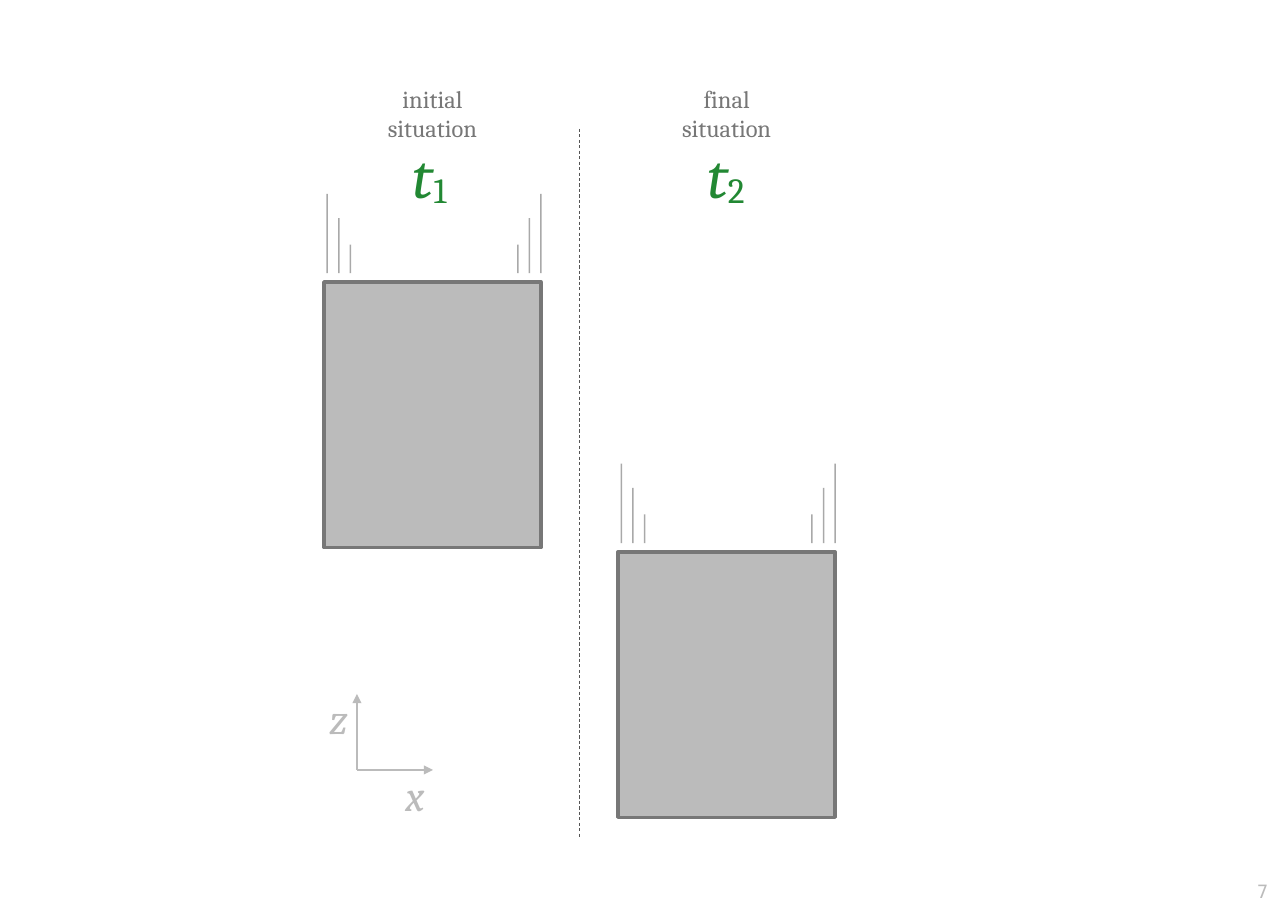
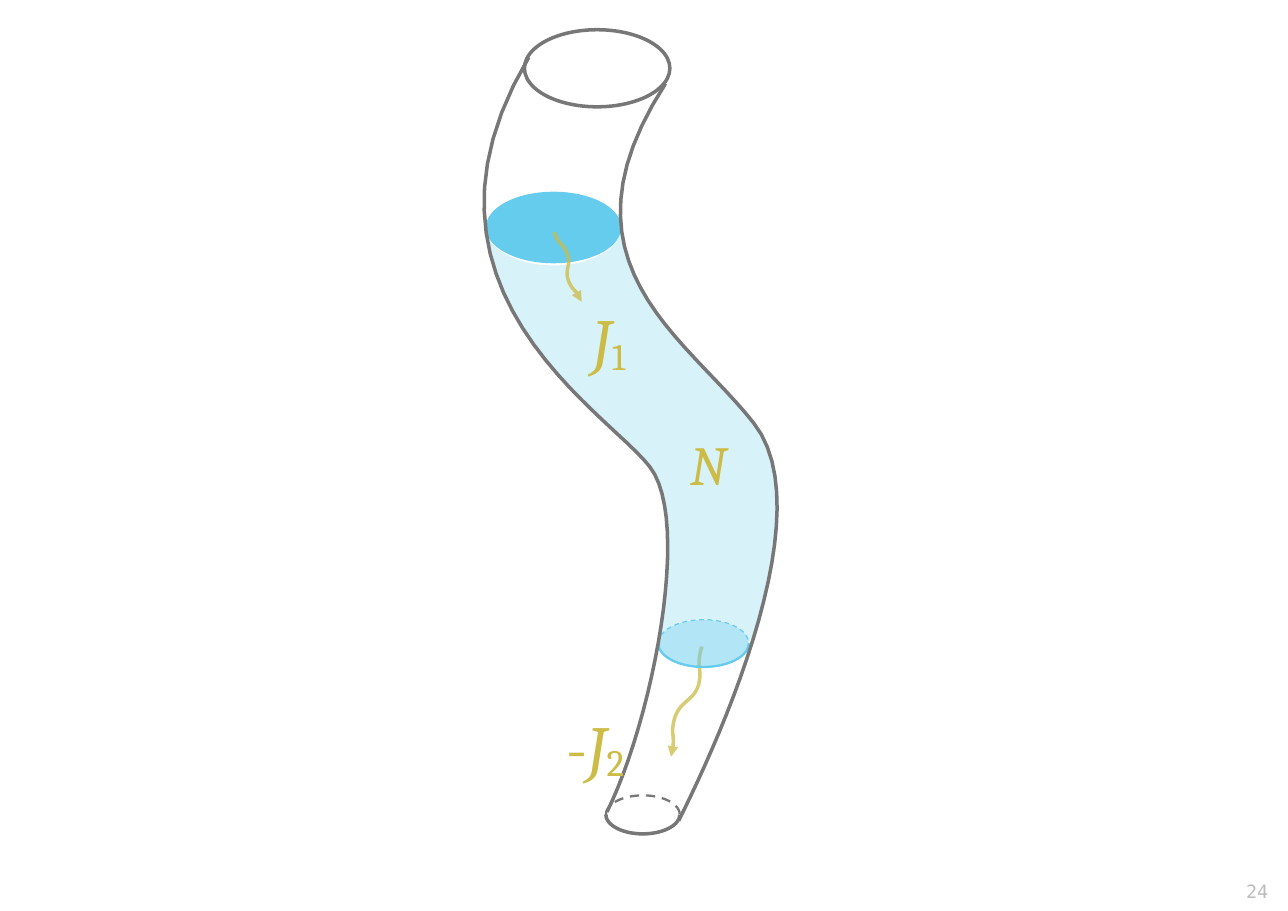
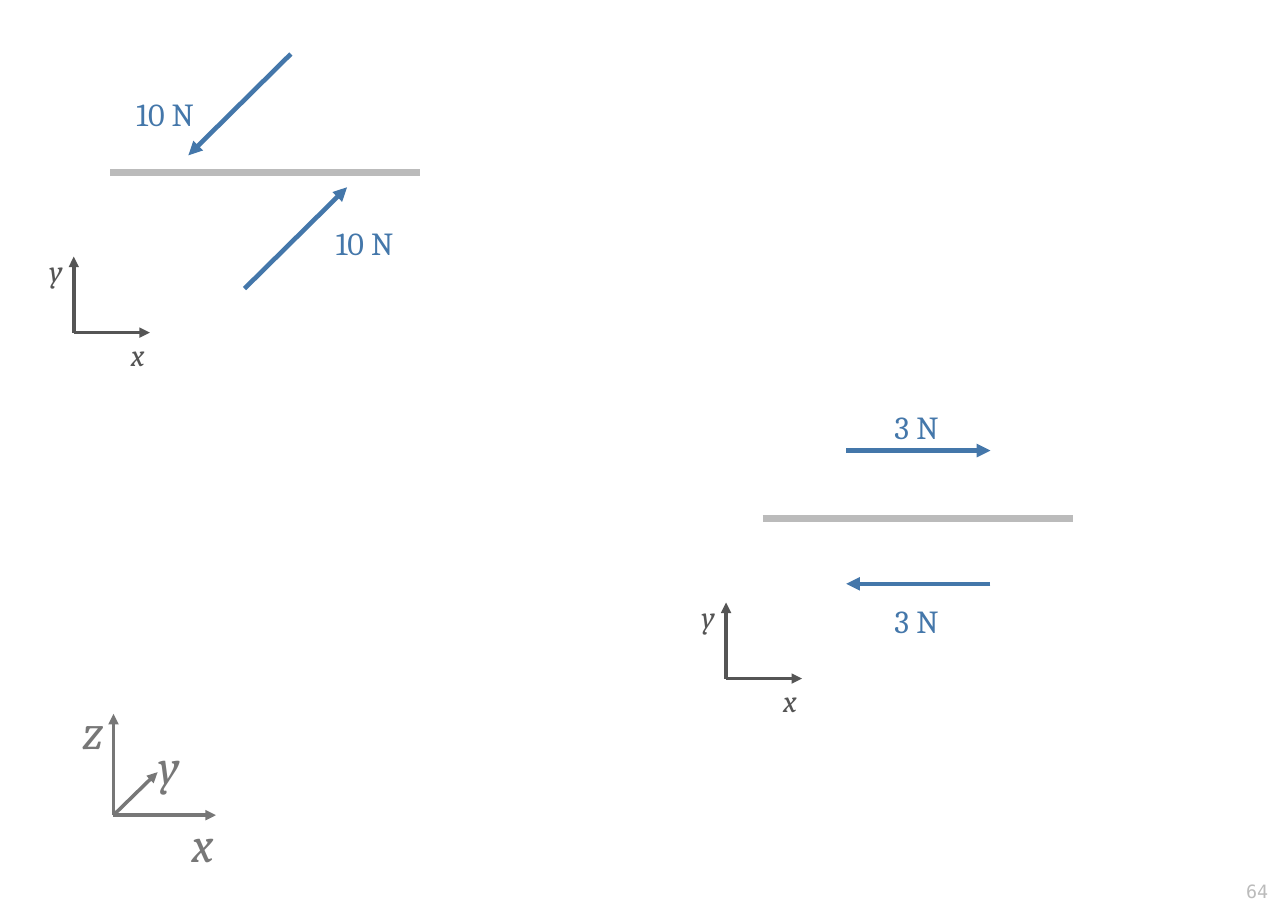
from math import cos, radians, sin

from pptx import Presentation
from pptx.dml.color import RGBColor
from pptx.enum.dml import MSO_LINE_DASH_STYLE as Dash
from pptx.enum.shapes import MSO_CONNECTOR_TYPE as Link, MSO_SHAPE as Shape
from pptx.enum.text import MSO_AUTO_SIZE as AutoSize, PP_ALIGN as Align
from pptx.oxml.ns import qn
from pptx.util import Inches, Pt
from lxml.etree import SubElement

# The grid cell is a tenth of an inch square.
CELL = Inches(0.1)
COLUMNS, ROWS = 116.9, 82.7

DARK, GRAY, LIGHT = "555555", "777777", "BBBBBB"
GREEN, BLUE, CYAN, OCHRE = "228833", "4477AA", "66CCEE", "CCBB44"
SERIF, MONO = "Cambria", "DejaVu Sans Mono"
BOLD_LINE = 2.3


def rgb(code):
    return RGBColor.from_string(code)


def grid(*counts):
    return [round(count * CELL) for count in counts]


def bezier(start, *curves, steps=24):
    """Points along joined cubic curves, each given as two controls and an end."""
    points = [start]
    for one, two, end in curves:
        first = points[-1]
        for step in range(1, steps + 1):
            t = step / steps
            weights = (1 - t) ** 3, 3 * t * (1 - t) ** 2, 3 * t * t * (1 - t), t ** 3
            points.append(tuple(
                sum(weight * value for weight, value in zip(weights, axis))
                for axis in zip(first, one, two, end)))
    return points


def arc(center, radii, first, last, steps=36):
    """Points on an ellipse between two angles, clockwise from the right."""
    angles = [radians(first + (last - first) * step / steps) for step in range(steps + 1)]
    return [(center[0] + radii[0] * cos(angle), center[1] + radii[1] * sin(angle))
            for angle in angles]


class Sketch:
    """The deck's style together with the page being drawn."""

    def __init__(self):
        self.deck = Presentation()
        self.deck.slide_width, self.deck.slide_height = grid(COLUMNS, ROWS)
        self.page = None

    def new_page(self, number):
        self.page = self.deck.slides.add_slide(self.deck.slide_layouts[6])
        self.text((106.1, 79.4, 10, 2.9), [[(str(number), "")]], 12, LIGHT,
                  font=MONO, align=Align.RIGHT)

    def text(self, place, lines, size, color, font=SERIF, align=Align.LEFT, wrap=False):
        """Lines of (words, style) spans; style is "italic", "index" or empty."""
        box = self.page.shapes.add_textbox(*grid(*place))
        frame = box.text_frame
        frame.word_wrap = wrap
        frame.auto_size = AutoSize.SHAPE_TO_FIT_TEXT
        for number, spans in enumerate(lines):
            para = frame.add_paragraph() if number else frame.paragraphs[0]
            para.alignment = align
            para.font.name, para.font.size = font, Pt(size)
            para.font.color.rgb = rgb(color)
            for words, style in spans:
                span = para.add_run()
                span.text = words
                if style == "italic":
                    span.font.italic = True
                elif style == "index":
                    span._r.get_or_add_rPr().set("baseline", "-8000")

    def stroke(self, item, color, weight, dash=None, opacity=100, arrow=False):
        item.line.width = Pt(weight)
        item.line.color.rgb = rgb(color)
        if dash:
            item.line.dash_style = dash
        outline = item.element.spPr.find(qn("a:ln"))
        self.fade(outline, opacity)
        if arrow:
            SubElement(outline, qn("a:tailEnd")).set("type", "triangle")

    def fade(self, parent, opacity):
        if opacity < 100:
            tint = parent.find(qn("a:solidFill")).find(qn("a:srgbClr"))
            SubElement(tint, qn("a:alpha")).set("val", str(opacity * 1000))

    def paint(self, shape, fill, opacity, line):
        shape.shadow.inherit = False
        if fill:
            shape.fill.solid()
            shape.fill.fore_color.rgb = rgb(fill)
            self.fade(shape.element.spPr, opacity)
        else:
            shape.fill.background()
        if line:
            self.stroke(shape, **line)
        else:
            shape.line.fill.background()

    def shape(self, kind, place, fill=None, opacity=100, **line):
        self.paint(self.page.shapes.add_shape(kind, *grid(*place)), fill, opacity, line)

    def ellipse(self, center, radii, **look):
        place = (center[0] - radii[0], center[1] - radii[1], 2 * radii[0], 2 * radii[1])
        self.shape(Shape.OVAL, place, **look)

    def outline(self, points, close=False, fill=None, opacity=100, **line):
        corners = [grid(*point) for point in points]
        builder = self.page.shapes.build_freeform(*corners[0])
        builder.add_line_segments(corners[1:], close=close)
        self.paint(builder.convert_to_shape(), fill, opacity, line)

    def line(self, start, end, color, weight, **look):
        link = self.page.shapes.add_connector(Link.STRAIGHT, *grid(*start, *end))
        self.stroke(link, color, weight, **look)
        SubElement(link.element.spPr, qn("a:effectLst"))

    def axes(self, origin, arms, color, weight, size, label_size):
        """Arms are (letter, reach, label offset), both measured from the origin."""
        column, row = origin
        for letter, (across, down), (label_x, label_y) in arms:
            self.line(origin, (column + across, row + down), color, weight, arrow=True)
            self.text((column + label_x, row + label_y, *label_size),
                      [[(letter, "italic")]], size, color, wrap=True)

    def falling_box(self, left, top):
        self.shape(Shape.RECTANGLE, (left, top, 19.7, 24.1), fill=LIGHT,
                   color=GRAY, weight=BOLD_LINE)
        foot = top - 0.8
        for number, length in enumerate((7.2, 5, 2.6)):
            for side in (-1, 1):
                column = left + 10 + side * (9.7 - 1.05 * number)
                self.line((column, foot - length), (column, foot), DARK, 1, opacity=50)


def draw_fall(sketch):
    sketch.new_page(7)
    for index, name, left, top in (("1", "initial", 29.4, 25.6), ("2", "final", 56.1, 50.1)):
        sketch.falling_box(left, top)
        sketch.text((left + 7.1, 12, 5.7, 8.6), [[("t", "italic"), (index, "index")]], 40, GREEN)
        sketch.text((left + 4.3, 7.1, 11.1, 7), [[(name, "")], [("situation", "")]],
                    16, GRAY, align=Align.CENTER)
    sketch.line((52.6, 11.7), (52.6, 76), DARK, 0.5, dash=Dash.DASH)
    sketch.axes((32.4, 69.9), [("x", (6.9, 0), (3.4, -0.6)), ("z", (0, -6.9), (-3.5, -7.6))],
                LIGHT, 1, 28, (3.8, 6.3))


def draw_pipe(sketch):
    sketch.new_page(24)
    upper, upper_radii = (50.25, 20.65), (6.15, 3.25)
    lower, lower_radii = (63.85, 58.4), (4.1, 2.15)
    outlet, outlet_radii = (58.35, 73.95), (3.35, 1.75)
    left_wall = bezier((48, 5.2), ((35.6, 26.1), (55.2, 37.4), (59, 42.4)),
                       ((62.8, 47.3), (59.2, 65.4), (55.1, 73.7)))
    right_wall = bezier((60.4, 7.6), ((49.9, 23.8), (62.2, 30.5), (68.4, 38.4)),
                        ((74.6, 46.2), (65.7, 66.3), (61.6, 74.5)))
    inflow = bezier((50.3, 21.1), ((50.8, 22.4), (51.1, 22), (51.5, 23.1)),
                    ((51.9, 24), (51.2, 24.4), (51.6, 25.5)),
                    ((52, 26.5), (52.2, 26.1), (52.8, 27.4)))
    outflow = bezier((63.7, 58.7), ((63.1, 60.8), (63.8, 60.5), (63.4, 62.2)),
                     ((62.9, 63.7), (61.7, 63.6), (61.2, 65.3)),
                     ((60.8, 67), (61.4, 66.6), (60.9, 68.7)))
    water = ([point for point in right_wall if 21.5 <= point[1] <= 58.3]
             + arc(lower, (4.1, 2.2), -5, -160)
             + [point for point in reversed(left_wall) if 22 <= point[1] <= 57.5]
             + arc(upper, (6.15, 3.45), 160, 10))
    wall = {"color": GRAY, "weight": BOLD_LINE}
    flow = {"color": OCHRE, "weight": BOLD_LINE, "opacity": 75, "arrow": True}

    def flow_arrow(points):
        shape_line = dict(flow)
        opacity = shape_line.pop("opacity")
        corners = [grid(*point) for point in points]
        builder = sketch.page.shapes.build_freeform(*corners[0])
        builder.add_line_segments(corners[1:], close=False)
        arrow = builder.convert_to_shape()
        sketch.paint(arrow, None, 100, {**shape_line, "opacity": opacity})

    flow_arrow(outflow)
    sketch.ellipse(lower, lower_radii, fill=CYAN, opacity=50,
                   color=CYAN, weight=0.8, dash=Dash.DASH)
    sketch.ellipse(upper, upper_radii, fill=CYAN)
    sketch.ellipse((54.2, 6.2), (6.6, 3.5), **wall)
    sketch.ellipse(outlet, outlet_radii, color=GRAY, weight=1.5, dash=Dash.DASH)
    sketch.outline(water, close=True, fill=CYAN, opacity=25)
    sketch.outline(arc(lower, lower_radii, 0, 180), color=CYAN, weight=1.5)
    for points in (left_wall, right_wall, arc(outlet, outlet_radii, 0, 180)):
        sketch.outline(points, **wall)
    sketch.text((52.8, 26.8, 5.6, 8.9), [[("J", "italic"), ("1", "index")]], 42, OCHRE)
    sketch.text((50.4, 63.7, 7.6, 8.9), [[("-", ""), ("J", "italic"), ("2", "index")]], 42, OCHRE)
    flow_arrow(inflow)
    sketch.text((61.7, 38.6, 5.9, 7.8), [[("N", "italic")]], 36, OCHRE)


def draw_forces(sketch):
    sketch.new_page(64)
    plates = (
        ((10, 15.7), (6.7, 30.2), "10 N", 8, (
            ((22.2, 26.2), (31.5, 17), (29.5, 19.8)),
            ((26.4, 4.9), (17.1, 14.1), (11.4, 8.1)))),
        ((69.25, 47.1), (65.9, 61.6), "3 N", 6.3, (
            ((89.9, 53), (76.8, 53), (80.2, 54.1)),
            ((76.8, 40.9), (89.9, 40.9), (80.2, 36.5)))),
    )
    plane = [("x", (6.9, 0), (4.2, -0.2)), ("y", (0, -6.9), (-3.2, -7.8))]
    for (column, row), origin, strength, width, forces in plates:
        sketch.line((column, row), (column + 28.15, row), LIGHT, 4.5)
        for start, end, corner in forces:
            sketch.line(start, end, BLUE, 3, arrow=True)
            sketch.text((*corner, width, 5), [[(strength, "")]], 21, BLUE)
        sketch.axes(origin, plane, DARK, BOLD_LINE, 20, (2.2, 4.8))
    space = [("x", (9.3, 0), (6.1, -0.6)), ("z", (0, -9.2), (-3.8, -10.9)),
             ("y", (4, -3.9), (3.1, -7.7))]
    sketch.axes((10.3, 74), space, GRAY, BOLD_LINE, 32, (3, 7))


def main():
    sketch = Sketch()
    for draw in (draw_fall, draw_pipe, draw_forces):
        draw(sketch)
    sketch.deck.save("out.pptx")


if __name__ == "__main__":
    main()
